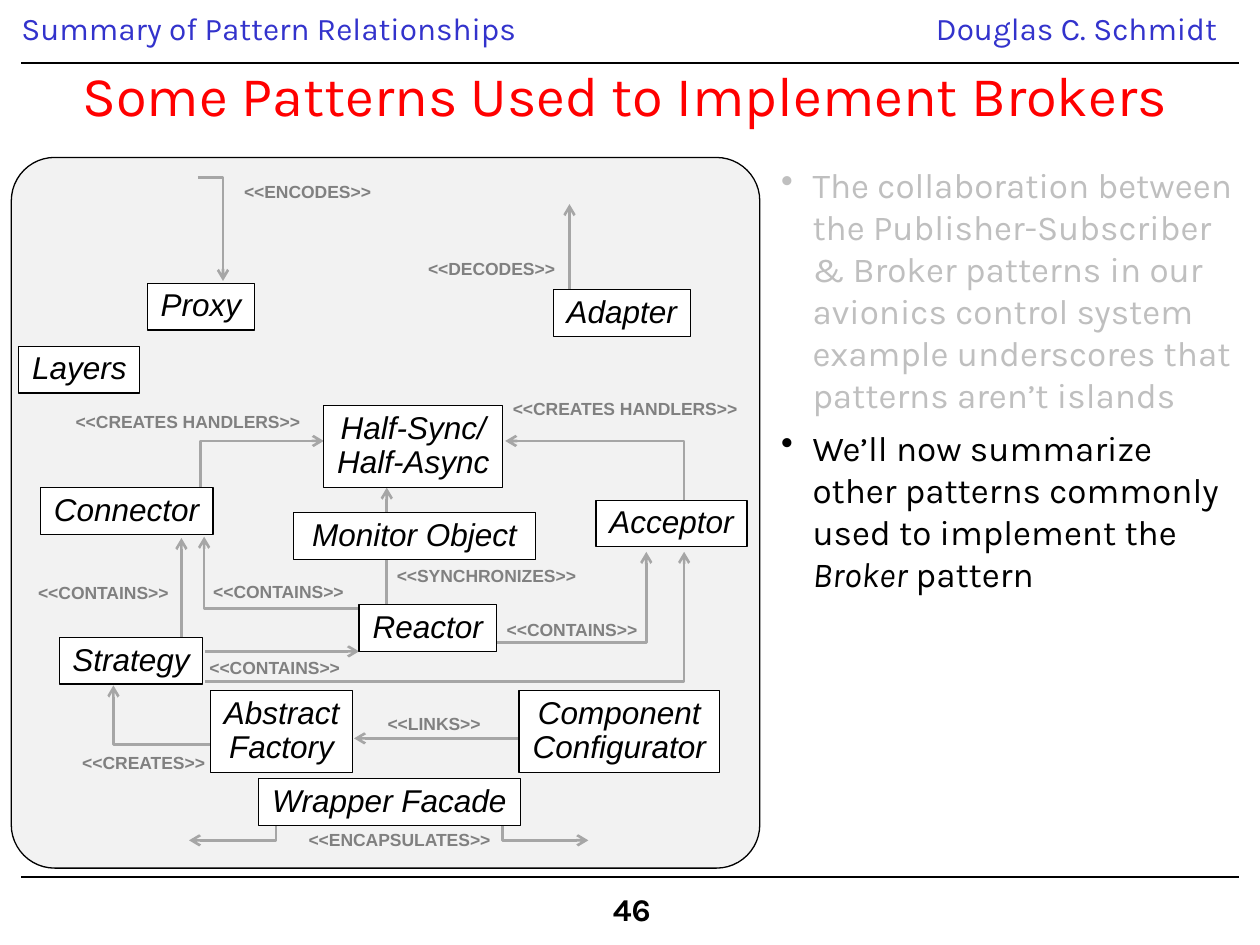
from lxml import etree
from pptx import Presentation
from pptx.dml.color import RGBColor
from pptx.enum.shapes import MSO_CONNECTOR, MSO_SHAPE
from pptx.enum.text import MSO_ANCHOR, PP_ALIGN
from pptx.oxml.ns import qn
from pptx.util import Emu, Inches, Pt

RECT, ROUND_RECT = MSO_SHAPE.RECTANGLE, MSO_SHAPE.ROUNDED_RECTANGLE
STRAIGHT = MSO_CONNECTOR.STRAIGHT
LEFT, CENTER, MIDDLE = PP_ALIGN.LEFT, PP_ALIGN.CENTER, MSO_ANCHOR.MIDDLE

SLIDE_W, SLIDE_H = Inches(10), Inches(7.5)
CELL = SLIDE_W / 100
BLACK, WHITE, BLUE, RED = "000000", "FFFFFF", "3333CC", "FF0000"
PANEL, ARROW, LABEL, FADED = "F2F2F2", "A6A6A6", "808080", "BFBFBF"

PATTERNS = [
    ("Connector", 2.3, 26.2, 13.7),
    ("Acceptor", 46.4, 27.2, 12),
    ("Half-Sync/\vHalf-Async", 24.8, 19.7, 14.2),
    ("Component\vConfigurator", 40.3, 42.3, 15.9),
    ("Proxy", 10.8, 10, 8.5),
    ("Layers", 0.6, 15, 9.6),
    ("Abstract\vFactory", 15.8, 42.3, 11.3),
    ("Wrapper Facade", 19.6, 49.3, 20.8),
    ("Monitor Object", 22.4, 28.2, 19.2),
    ("Adapter", 43, 10.5, 10.9),
    ("Reactor", 27.6, 35.5, 10.9),
    ("Strategy", 3.8, 38.1, 11.4),
]
ARROWS = [
    [(15, 26.2), (15, 22.5), (24.8, 22.5)],
    [(53.4, 27.2), (53.4, 22.5), (39.2, 22.5)],
    [(36.4, 38.5), (50.4, 38.5), (50.4, 31.3)],
    [(29.1, 35.8), (15.3, 35.8), (15.3, 30.1)],
    [(21.9, 46.6), (8.1, 46.6), (8.1, 41.9)],
    [(15.4, 41.6), (53.4, 41.6), (53.4, 31.3)],
    [(39, 50.5), (39, 54.2), (45.8, 54.2)],
    [(21, 50.5), (21, 54.2), (14.1, 54.2)],
    [(14.8, 1.6), (16.8, 1.6), (16.8, 9.8)],
    [(40.5, 46.1), (27.2, 46.1)],
    [(13.5, 38.1), (13.5, 30.2)],
    [(44.3, 12.3), (44.3, 3.7)],
    [(15.4, 39.2), (27.6, 39.2)],
    [(29.8, 35.7), (29.8, 26.2)],
]
LABELS = [
    ("<<CREATES HANDLERS>>", 38.6, 18.8, 20.2),
    ("<<CREATES HANDLERS>>", 3.9, 19.8, 20.2),
    ("<<CONTAINS>>", 1, 33.4, 12.6),
    ("<<CONTAINS>>", 14.6, 39.3, 12.6),
    ("<<CONTAINS>>", 38.2, 36.3, 12.6),
    ("<<CONTAINS>>", 14.9, 33.3, 12.6),
    ("<<LINKS>>", 28.8, 43.8, 9.5),
    ("<<CREATES>>", 4.5, 46.9, 12),
    ("<<ENCAPSULATES>>", 22.4, 53, 16.8),
    ("<<ENCODES>>", 17.4, 1.6, 12.2),
    ("<<DECODES>>", 32, 7.7, 12.2),
    ("<<SYNCHRONIZES>>", 29.5, 32, 16.4),
]
POINTS = [
    (FADED, [("The collaboration between the Publisher-Subscriber & Broker patterns "
              "in our avionics control system example underscores that patterns "
              "aren’t islands", False)]),
    (BLACK, [("We’ll now summarize other patterns commonly used to implement the ", False),
             ("Broker", True), (" pattern", False)]),
]


def rgb(value):
    """Turn a hex string into a colour."""
    return RGBColor.from_string(value)


def cells(*counts):
    """Turn grid counts into lengths."""
    return [Emu(round(n * CELL)) for n in counts]


def style(runs, size, font, color, bold=False, italic=False):
    """Set the font of every run."""
    for r in runs:
        r.font.size, r.font.name = Pt(size), font
        r.font.bold, r.font.italic = bold, italic
        r.font.color.rgb = rgb(color)


def write(sp, text, size, font, color, align=LEFT, wrap=False, **face):
    """Put one tightly spaced paragraph into a shape."""
    tf = sp.text_frame
    tf.text, tf.word_wrap = text, wrap
    p = tf.paragraphs[0]
    p.alignment, p.line_spacing = align, 0.9
    style(p.runs, size, font, color, **face)


def block(s, kind, box, fill, line=None):
    """Add a flat filled shape."""
    sp = s.shapes.add_shape(kind, *cells(*box))
    sp.shadow.inherit = False
    sp.fill.solid()
    sp.fill.fore_color.rgb = rgb(fill)
    if line:
        sp.line.color.rgb, sp.line.width = rgb(line), Pt(0.75)
    else:
        sp.line.fill.background()
    return sp


def route(s, points, color, width, arrow=False):
    """Draw a straight or bent line through grid points."""
    path = [cells(*point) for point in points]
    if len(path) == 2:
        sp = s.shapes.add_connector(STRAIGHT, *path[0], *path[1])
    else:
        builder = s.shapes.build_freeform(*path[0])
        builder.add_line_segments(path[1:], close=False)
        sp = builder.convert_to_shape()
        sp.fill.background()
    sp.line.color.rgb, sp.line.width = rgb(color), Pt(width)
    spPr = sp._element.spPr
    if arrow:
        etree.SubElement(spPr.find(qn("a:ln")), qn("a:tailEnd"), type="arrow")
    etree.SubElement(spPr, qn("a:effectLst"))


def frame(s, box):
    """Add the running heads, rules and page number."""
    x, y, w, h = box
    for text, left, width, inset in (
            ("Summary of Pattern Relationships", 1.7, 59.2, 0),
            ("Douglas C. Schmidt", 73.3, 25.1, 1)):
        sp = s.shapes.add_textbox(*cells(x + left, y + 0.6, width, 4))
        sp.text_frame.margin_left = sp.text_frame.margin_right = cells(inset)[0]
        write(sp, text, 18, "Karla", BLUE, wrap=True)
    for row in (5, 69.6):
        route(s, [(x + 1.7, y + row), (x + w - 1.7, y + row)], BLACK, 0.75)
    sp = block(s, RECT, (x + 47.6, y + h - 4.7, 5.1, 4), WHITE)
    write(sp, "46", 18, "Karla", BLACK, CENTER, bold=True)


def title(s, box):
    """Place and format the slide title."""
    sp = s.shapes.title
    sp.left, sp.top, sp.width, sp.height = cells(*box)
    tf = sp.text_frame
    tf.text, tf.vertical_anchor = "Some Patterns Used to Implement Brokers", MIDDLE
    p = tf.paragraphs[0]
    p.alignment = CENTER
    style(p.runs, 32, "Karla", RED)


def diagram(s, box):
    """Draw the pattern map inside a rounded panel."""
    x, y = box[:2]
    block(s, ROUND_RECT, box, PANEL, BLACK).adjustments[0] = 0.061
    for points in ARROWS:
        route(s, [(x + col, y + row) for col, row in points], ARROW, 1.5, arrow=True)
    for text, col, row, width in PATTERNS:
        height = 6.5 if "\v" in text else 3.7
        sp = block(s, RECT, (x + col, y + row, width, height), WHITE, BLACK)
        write(sp, text, 18, "Arial", BLACK, CENTER, italic=True)
    for text, col, row, width in LABELS:
        sp = s.shapes.add_textbox(*cells(x + col, y + row, width, 2.5))
        write(sp, text, 10, "Arial", LABEL, CENTER, bold=True)


def bullets(s, box):
    """Add the bulleted commentary."""
    tf = s.shapes.add_textbox(*cells(*box)).text_frame
    tf.word_wrap = True
    for i, (color, parts) in enumerate(POINTS):
        p = tf.add_paragraph() if i else tf.paragraphs[0]
        pPr = p._p.get_or_add_pPr()
        pPr.set("marL", str(Inches(0.25)))
        pPr.set("indent", str(-Inches(0.25)))
        etree.SubElement(pPr, qn("a:buChar"), char="•")
        p.space_after = Pt(6)
        for text, italic in parts:
            r = p.add_run()
            r.text = text
            style([r], 20, "Karla", color, italic=italic)


def main():
    """Build and save the slide."""
    prs = Presentation()
    prs.slide_width, prs.slide_height = SLIDE_W, SLIDE_H
    s = prs.slides.add_slide(prs.slide_layouts[5])
    frame(s, (0, 0, 100, 75))
    title(s, (1.8, 2.5, 95.7, 10))
    diagram(s, (0.9, 12.5, 59.4, 56.4))
    bullets(s, (61, 12.5, 38.1, 35.5))
    prs.save("out.pptx")


if __name__ == "__main__":
    main()
